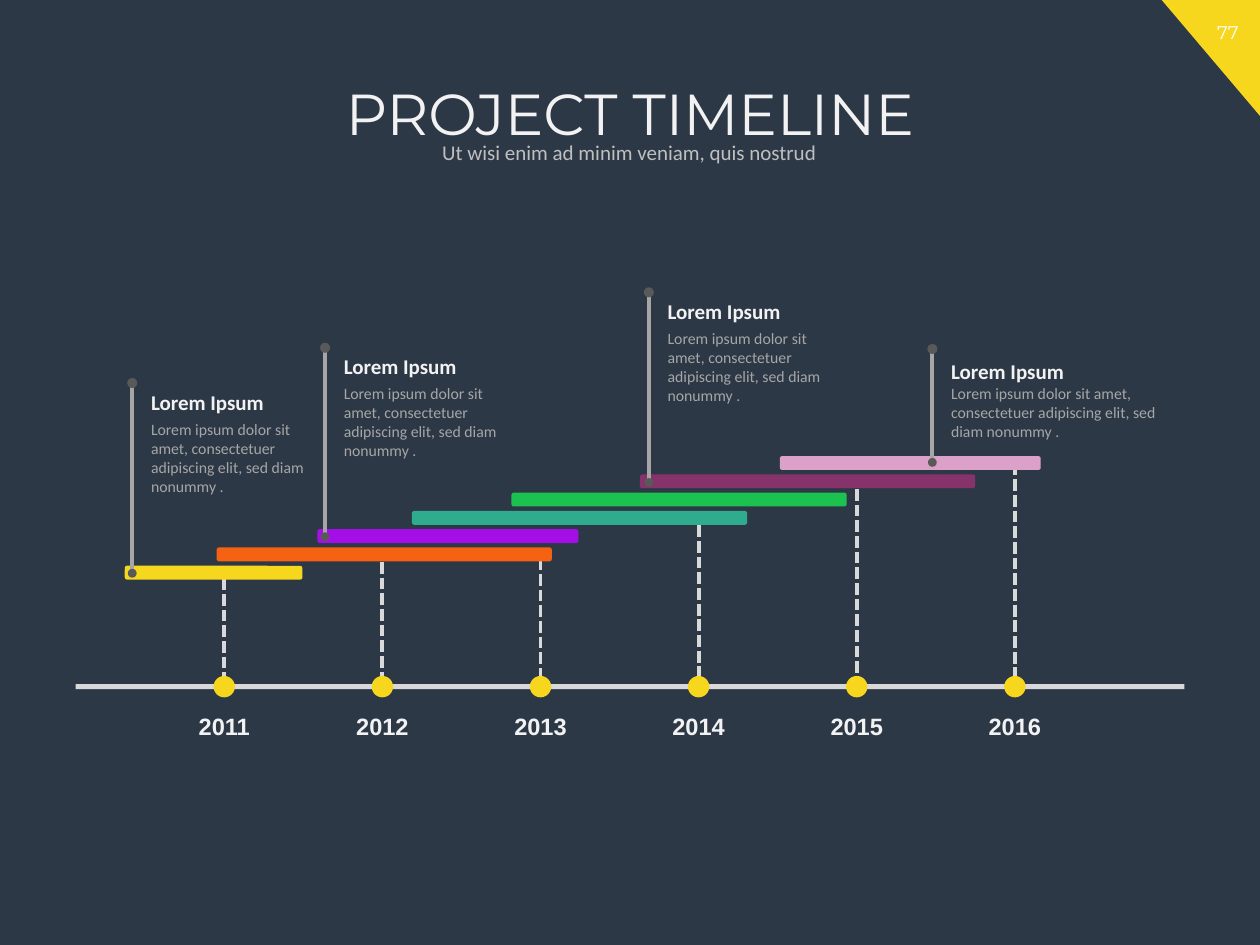
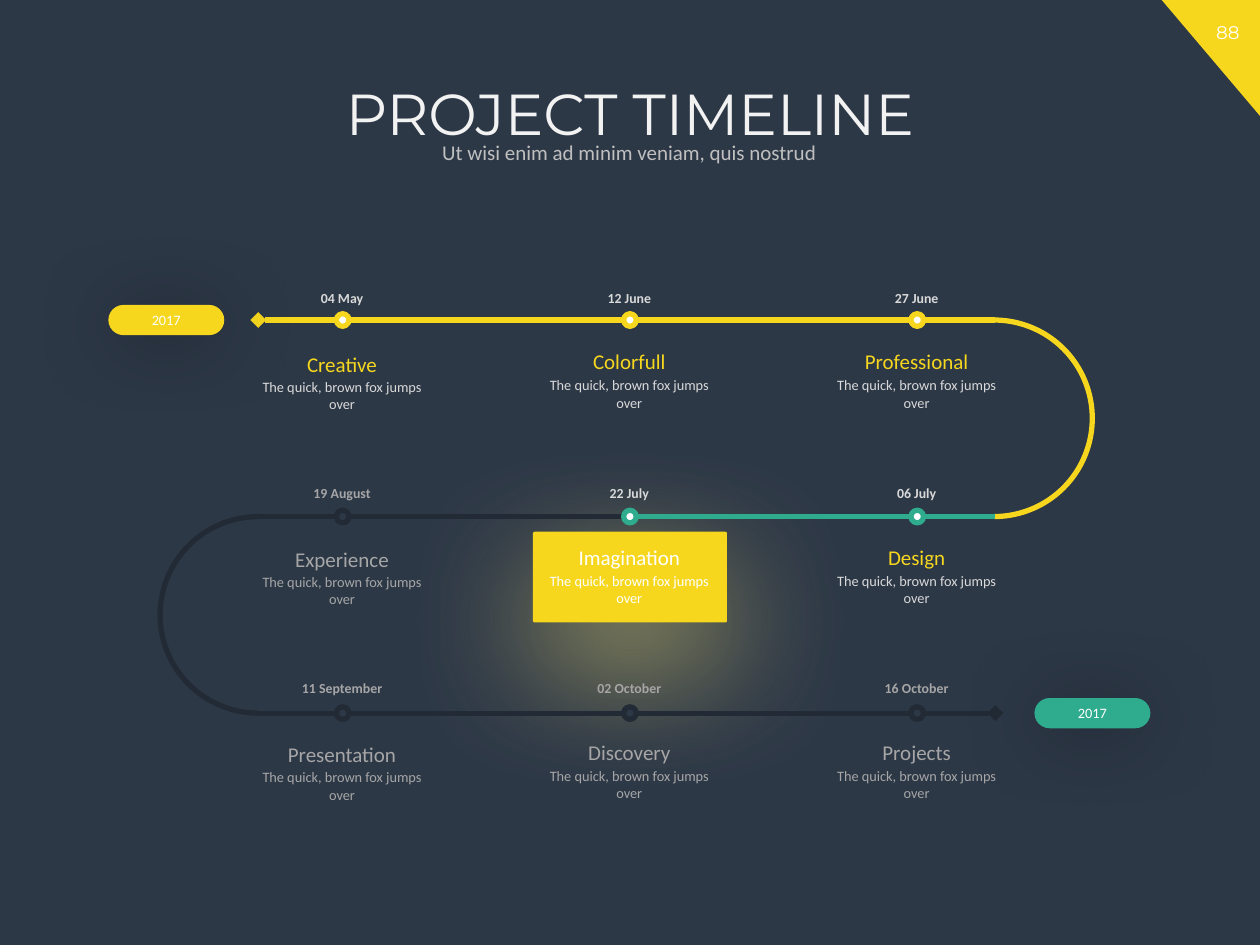
from lxml import etree
from pptx import Presentation, util as u
from pptx.dml.color import RGBColor
from pptx.enum import dml, shapes, text
from pptx.oxml.ns import qn

NAVY, INK, YELLOW, TEAL = "2D3847", "222A35", "F6D71E", "2FAB8D"
WHITE, SNOW, PALE, MUTED, PIN = "FFFFFF", "F2F2F2", "D9D9D9", "A6A6A6", "595959"
KIND = shapes.MSO_SHAPE
LEFT, CENTER = text.PP_ALIGN.LEFT, text.PP_ALIGN.CENTER

BARS = [  # left, width, colour; from the lowest bar up
    (0.99, 1.41, YELLOW), (1.72, 2.66, "F56211"), (2.52, 2.07, "A40FE7"),
    (3.27, 2.66, TEAL), (4.06, 2.66, "1CC24F"), (5.08, 2.66, "85336A"),
    (6.19, 2.07, "DBA1C8"),
]
YEAR_LINE_TOPS = [4.59, 4.46, 4.43, 4.17, 3.88, 3.68]
CALLOUTS = [  # pin x, pin top, pin foot, heading top, text width
    (1.05, 3.04, 4.55, 3.04, 1.52), (2.58, 2.76, 4.26, 2.76, 1.52),
    (5.15, 2.32, 3.83, 2.32, 1.52), (7.4, 2.77, 3.67, 2.8, 1.95),
]
COLUMNS, ROWS = (2.72, 5, 7.28), (2.54, 4.1, 5.66)
DONE = (YELLOW, WHITE, PALE, YELLOW, PALE)  # ring, core, date, heading, text
CURRENT = (TEAL, WHITE, PALE, WHITE, WHITE)
RECENT = (TEAL, WHITE, PALE, YELLOW, PALE)
AHEAD = (INK, NAVY, MUTED, MUTED, MUTED)
MILESTONES = [
    [("04 May", "Creative", DONE), ("12 June", "Colorfull", DONE),
     ("27 June", "Professional", DONE)],
    [("19 August", "Experience", AHEAD), ("22 July", "Imagination", CURRENT),
     ("06 July", "Design", RECENT)],
    [("11 September", "Presentation", AHEAD), ("02 October", "Discovery", AHEAD),
     ("16 October", "Projects", AHEAD)],
]


def rgb(code):
    return RGBColor.from_string(code)


def inches(*lengths):
    return [u.Inches(length) for length in lengths]


def set_text(frame, words, size, color, font="Calibri", bold=False, align=CENTER,
             spacing=None, anchor=text.MSO_ANCHOR.TOP):
    frame.word_wrap = True
    frame.vertical_anchor = anchor
    frame.text = words
    para = frame.paragraphs[0]
    para.alignment = align
    para.line_spacing = spacing
    for span in para.runs:
        span.font.name = font
        span.font.size = u.Pt(size)
        span.font.bold = bold
        span.font.color.rgb = rgb(color)


def add_text(page, left, top, width, height, words, size, color, **style):
    box = page.shapes.add_textbox(*inches(left, top, width, height))
    set_text(box.text_frame, words, size, color, **style)


def add_shape(page, kind, left, top, width, height, fill=None, line=None):
    shape = page.shapes.add_shape(kind, *inches(left, top, width, height))
    shape.shadow.inherit = False
    if fill:
        shape.fill.solid()
        shape.fill.fore_color.rgb = rgb(fill)
    else:
        shape.fill.background()
    if line:
        shape.line.color.rgb = rgb(line)
        shape.line.width = u.Pt(3)
    else:
        shape.line.fill.background()
    return shape


def add_dot(page, x, y, size, fill, line=None):
    """Place a circle by its centre."""
    add_shape(page, KIND.OVAL, x - size / 2, y - size / 2, size, size, fill, line)


def add_line(page, x1, y1, x2, y2, color, width, dash=None, diamond=None):
    """Draw a line; diamond names the end that carries one (headEnd or tailEnd)."""
    line = page.shapes.add_connector(shapes.MSO_CONNECTOR.STRAIGHT, *inches(x1, y1, x2, y2))
    line.line.color.rgb = rgb(color)
    line.line.width = u.Pt(width)
    if dash:
        line.line.dash_style = dash
    properties = line._element.spPr
    if diamond:
        etree.SubElement(properties.find(qn("a:ln")), qn(f"a:{diamond}"), type="diamond")
    etree.SubElement(properties, qn("a:effectLst"))


def add_glow(shape, color, alpha, blur, distance):
    """Cast a soft shadow straight down; alpha in percent, lengths in points."""
    effects = shape._element.spPr.find(qn("a:effectLst"))
    shadow = etree.SubElement(
        effects, qn("a:outerShdw"), blurRad=str(u.Pt(blur)), dist=str(u.Pt(distance)),
        dir="5400000", algn="t", rotWithShape="0")
    tint = etree.SubElement(shadow, qn("a:srgbClr"), val=color)
    etree.SubElement(tint, qn("a:alpha"), val=str(alpha * 1000))


def add_page(deck, number):
    page = deck.slides.add_slide(deck.slide_layouts[6])
    page.background.fill.solid()
    page.background.fill.fore_color.rgb = rgb(NAVY)
    corner = add_shape(page, KIND.RIGHT_TRIANGLE, 9.22, 0, 0.78, 0.92, YELLOW)
    corner.rotation = 180
    add_text(page, 9.49, 0.12, 0.51, 0.28, number, 10.5, WHITE, font="Montserrat")
    add_text(page, 0.57, 0.63, 8.86, 0.73, "PROJECT TIMELINE", 33, SNOW,
             font="Montserrat", spacing=0.9)
    add_text(page, 1.39, 1.09, 7.21, 0.26, "Ut wisi enim ad minim veniam, quis nostrud",
             12, "BFBFBF", spacing=0.9, anchor=text.MSO_ANCHOR.MIDDLE)
    return page


def add_callout(page, x, top, foot, heading_top, width):
    add_text(page, x + 0.05, heading_top + 0.24, width, 0.71,
             "Lorem ipsum dolor sit amet, consectetuer adipiscing elit, sed diam nonummy .",
             9, MUTED, align=LEFT) if width < 1.9 else add_text(
        page, x + 0.05, heading_top + 0.2, width, 0.56,
        "Lorem ipsum dolor sit amet, consectetuer adipiscing elit, sed diam nonummy .",
        9, MUTED, align=LEFT)
    add_text(page, x + 0.05, heading_top, 1.28, 0.3, "Lorem Ipsum", 12, SNOW,
             bold=True, align=LEFT)
    add_line(page, x, foot, x, top, MUTED, 2.25)
    add_dot(page, x, top, 0.08, PIN)
    add_dot(page, x, foot, 0.07, PIN)


def add_year_chart(page):
    axis_y = 5.45
    years = [(1.78 + 1.255 * i, str(2011 + i)) for i in range(len(YEAR_LINE_TOPS))]
    for (x, _), top in zip(years, YEAR_LINE_TOPS):
        add_line(page, x, top, x, 5.38, PALE, 2.25, dash=dml.MSO_LINE.SQUARE_DOT)
    add_shape(page, KIND.RECTANGLE, 0.6, axis_y - 0.02, 8.8, 0.04, PALE)
    for x, year in years:
        add_dot(page, x, axis_y, 0.17, YELLOW)
        add_text(page, x - 0.48, 5.6, 0.96, 0.33, year, 13.5, SNOW, font="Arial", bold=True)
    for i, (left, width, color) in enumerate(BARS):
        add_shape(page, KIND.ROUNDED_RECTANGLE, left, 4.49 - 0.145 * i, width, 0.11, color)


def add_bend(page, left, top, color, rotation=0):
    """Join two rows with a half circle."""
    bend = add_shape(page, KIND.ARC, left, top, 1.56, 1.56, line=color)
    bend.adjustments[0], bend.adjustments[1] = 162, 54  # 270 and 90 degrees
    bend.rotation = rotation


def add_pill(page, left, top, color):
    pill = add_shape(page, KIND.ROUNDED_RECTANGLE, left, top, 0.92, 0.24, color)
    pill.adjustments[0] = 0.5
    add_glow(pill, "000000", 40, 46, 3)
    set_text(pill.text_frame, "2017", 8.2, WHITE, anchor=text.MSO_ANCHOR.MIDDLE)


def add_road(page):
    first, second, third = ROWS
    start, end = 2.05, 7.9
    card = add_shape(page, KIND.ROUNDED_RECTANGLE, 4.23, 4.22, 1.54, 0.72, YELLOW)
    card.adjustments[0] = 0.02
    add_glow(card, "FAE778", 61, 79, 24)
    add_bend(page, 7.11, first, YELLOW)
    add_line(page, start, second, end, second, INK, 3)
    add_bend(page, 1.27, second, INK, rotation=180)
    add_line(page, start, third, end, third, INK, 3, diamond="tailEnd")
    add_line(page, start, first, end, first, YELLOW, 3, diamond="headEnd")
    add_line(page, COLUMNS[1], second, end, second, TEAL, 3)
    add_pill(page, 8.21, 5.54, TEAL)
    add_pill(page, 0.86, 2.42, YELLOW)


def add_milestone(page, x, y, drop, date, heading, colors):
    """Put a stop on the road; drop is the top of its row of text."""
    ring, core, date_color, heading_color, body_color = colors
    left, width = x - 0.74, 1.47
    nudge = 0.02 if x == COLUMNS[0] else 0
    add_dot(page, x, y, 0.1, core, ring)
    add_text(page, left, drop, width, 0.26, date, 7.9, date_color, bold=True, spacing=1.2)
    add_text(page, left, drop + 0.46 + nudge, width, 0.34, heading, 12, heading_color,
             spacing=1.2)
    add_text(page, left, drop + 0.72 + nudge / 2, width, 0.38,
             "The quick, brown fox jumps over", 8.2, body_color)


def main():
    deck = Presentation()
    deck.slide_width, deck.slide_height = inches(10, 7.5)

    page = add_page(deck, "77")
    add_year_chart(page)
    for callout in CALLOUTS:
        add_callout(page, *callout)

    page = add_page(deck, "88")
    add_road(page)
    for i, (y, stops) in enumerate(zip(ROWS, MILESTONES)):
        for x, stop in zip(COLUMNS, stops):
            add_milestone(page, x, y, 2.22 + 1.55 * i, *stop)

    deck.save("out.pptx")


if __name__ == "__main__":
    main()
